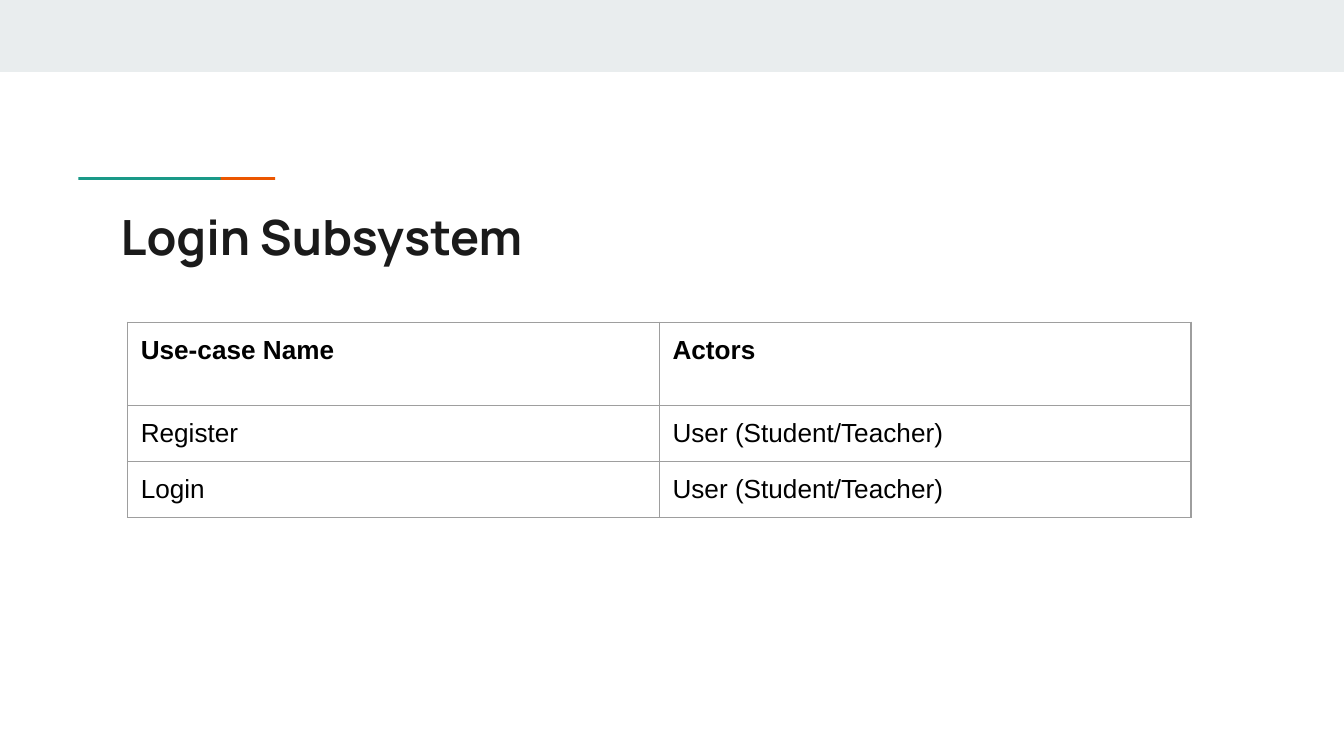
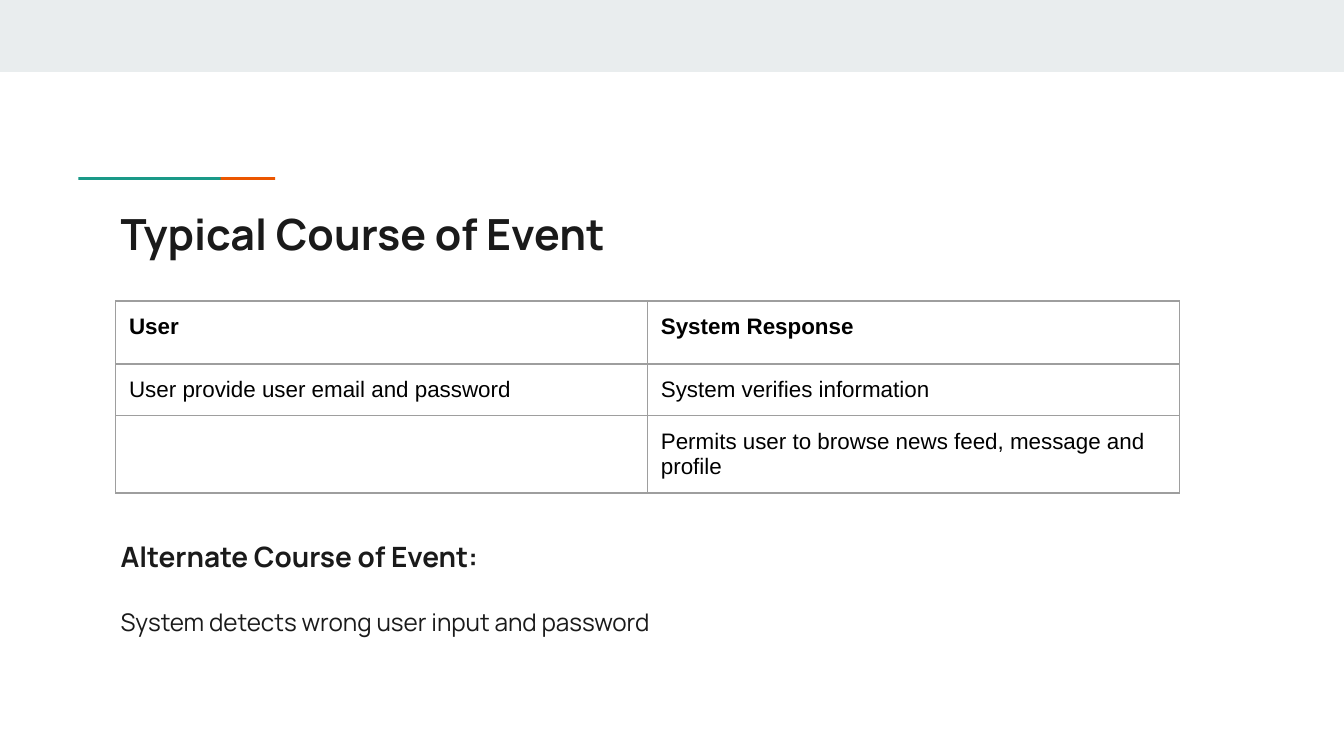
from lxml.etree import SubElement
from pptx import Presentation
from pptx.dml.color import RGBColor
from pptx.enum.shapes import MSO_SHAPE as Preset
from pptx.enum.text import MSO_ANCHOR as Anchor, MSO_AUTO_SIZE as AutoSize, PP_ALIGN as Align
from pptx.oxml.ns import qn
from pptx.util import Cm, Pt

PAGE_SIZE = 25.4, 14.29
BAND, TEAL, ORANGE, INK, BLACK, GRID = "E9EDEE", "1A9988", "EB5600", "1A1A1A", "000000", "9E9E9E"
HEADING_FONT, TABLE_FONT = "Manrope", "Arial"
TITLE_BOX = 2.03, 3.67, 21.36, 1.5
NOTE_BOX = 2.03, 9.95, 21.36, 2.46
COLUMN_WIDTH = 10.05
INSET = 0.25
TITLE_ONLY, TITLE_AND_BODY = 5, 1


def paint(color_format, color):
    color_format.rgb = RGBColor.from_string(color)


def set_all(target, **values):
    for name, value in values.items():
        setattr(target, name, value)


def inset(target):
    """Give a text frame or a table cell the same margin on all sides."""
    sides = ("left", "top", "right", "bottom")
    set_all(target, **{f"margin_{side}": Cm(INSET) for side in sides})


def write(para, text, font, size, color, bold):
    span = para.add_run()
    span.text = text
    set_all(span.font, name=font, size=Pt(size), bold=bold)
    paint(span.font.color, color)


def add_bar(page, box, color):
    bar = page.shapes.add_shape(Preset.RECTANGLE, *map(Cm, box))
    bar.shadow.inherit = False
    bar.fill.solid()
    paint(bar.fill.fore_color, color)
    bar.line.fill.background()


def fill_placeholder(holder, box, lines):
    """Move a placeholder and write (text, size, bold, space before) lines."""
    left, top, width, height = map(Cm, box)
    set_all(holder, left=left, top=top, width=width, height=height)
    frame = holder.text_frame
    set_all(frame, word_wrap=True, auto_size=AutoSize.NONE, vertical_anchor=Anchor.TOP)
    inset(frame)
    for index, (text, size, bold, gap) in enumerate(lines):
        para = frame.add_paragraph() if index else frame.paragraphs[0]
        set_all(para, alignment=Align.LEFT, space_before=Pt(gap), space_after=Pt(0))
        props = para._p.get_or_add_pPr()
        props.set("marL", "0")
        props.set("indent", "0")
        SubElement(props, qn("a:buNone"))
        write(para, text, HEADING_FONT, size, INK, bold)


def add_borders(cell):
    props = cell._tc.get_or_add_tcPr()
    for side in "LRTB":
        line = SubElement(props, qn(f"a:ln{side}"), w=str(Pt(0.75)))
        fill = SubElement(line, qn("a:solidFill"))
        SubElement(fill, qn("a:srgbClr"), val=GRID)


def add_grid(page, corner, row_heights, rows, size):
    """Place a bordered table whose first row is bold."""
    columns = len(rows[0])
    box = *corner, COLUMN_WIDTH * columns, sum(row_heights)
    grid = page.shapes.add_table(len(rows), columns, *map(Cm, box)).table
    set_all(grid, first_row=False, horz_banding=False)
    for row_index, (height, texts) in enumerate(zip(row_heights, rows)):
        grid.rows[row_index].height = Cm(height)
        for column_index, text in enumerate(texts):
            cell = grid.cell(row_index, column_index)
            inset(cell)
            add_borders(cell)
            cell.fill.background()
            if text:
                write(cell.text_frame.paragraphs[0], text, TABLE_FONT, size, BLACK, row_index == 0)


def add_page(deck, layout, title, size):
    """Add a slide with the top band, the two overlapping accent bars and its title."""
    page = deck.slides.add_slide(deck.slide_layouts[layout])
    add_bar(page, (0, 0, PAGE_SIZE[0], 1.36), BAND)
    for left, color in ((2.51, ORANGE), (1.48, TEAL)):
        add_bar(page, (left, 3.35, 2.69, 0.05), color)
    fill_placeholder(page.shapes.title, TITLE_BOX, [(title, size, True, 0)])
    return page


def add_login_page(deck):
    page = add_page(deck, TITLE_ONLY, "Login Subsystem", 26)
    add_grid(page, (2.41, 6.09), (1.57, 1.06, 1.06), [
        ("Use-case Name", "Actors"),
        ("Register", "User (Student/Teacher)"),
        ("Login", "User (Student/Teacher)"),
    ], 14)


def add_events_page(deck):
    page = add_page(deck, TITLE_AND_BODY, "Typical Course of Event", 23)
    add_grid(page, (2.19, 5.69), (1.19, 0.98, 1.46), [
        ("User", "System Response"),
        ("User provide user email and password", "System verifies information"),
        ("", "Permits user to browse news feed, message and profile"),
    ], 12)
    fill_placeholder(page.placeholders[1], NOTE_BOX, [
        ("Alternate Course of Event:", 15, True, 0),
        ("System detects wrong user input and password", 13, False, 18),
    ])


def main():
    deck = Presentation()
    deck.slide_width, deck.slide_height = map(Cm, PAGE_SIZE)
    add_login_page(deck)
    add_events_page(deck)
    deck.save("out.pptx")


if __name__ == "__main__":
    main()
